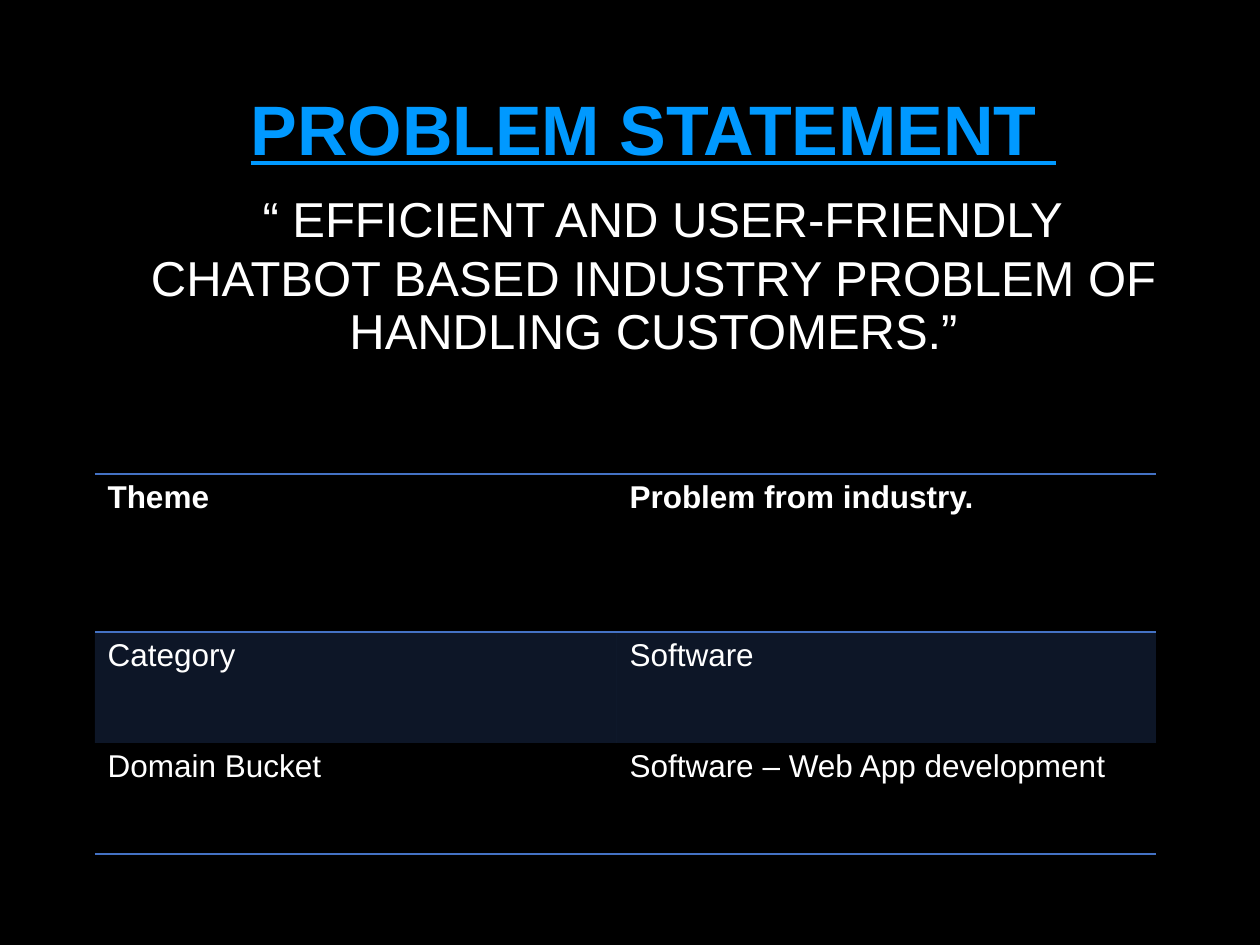
from dataclasses import dataclass

from lxml.etree import SubElement
from pptx import Presentation
from pptx.dml.color import RGBColor
from pptx.enum.text import MSO_ANCHOR, PP_ALIGN
from pptx.oxml.ns import qn
from pptx.util import Pt

PX = 914400 // 126  # EMU per pixel
NO_STYLE = "{2D5ABB26-0587-4C30-8999-92F81FD0307C}"


@dataclass(frozen=True)
class Theme:
    background: str = "000000"
    text: str = "FFFFFF"
    title: str = "0099FF"
    accent: str = "4472C4"
    font: str = "Arial"
    gap_font: str = "Calibri"
    title_size: int = 40
    gap_size: int = 44
    statement_size: int = 28
    table_size: int = 18
    band_opacity: int = 20
    rule_width: int = 1


THEME = Theme()

ROWS = [
    ("Theme", "Problem from industry."),
    ("Category", "Software"),
    ("Domain Bucket", "Software – Web App development"),
]


def px(n):
    return n * PX


def add_run(p, text, size, color=THEME.text, font=THEME.font, bold=False, underline=False):
    r = p.add_run()
    r.text = text
    r.font.name = font
    r.font.size = Pt(size)
    r.font.bold = bold
    r.font.underline = underline
    r.font.color.rgb = RGBColor.from_string(color)


def add_heading(slide, left, top, width, height):
    tf = slide.shapes.add_textbox(px(left), px(top), px(width), px(height)).text_frame
    tf.word_wrap = True
    tf.vertical_anchor = MSO_ANCHOR.MIDDLE
    p = tf.paragraphs[0]
    p.alignment = PP_ALIGN.CENTER
    p.line_spacing = 0.9
    pPr = p._p.get_or_add_pPr()
    pPr.set("marL", str(px(67)))
    pPr.set("indent", "0")
    add_run(p, "PROBLEM STATEMENT ", THEME.title_size, THEME.title, bold=True, underline=True)
    p.add_line_break()
    add_run(p, " ", THEME.gap_size, font=THEME.gap_font)
    add_run(p, "“ EFFICIENT AND USER-FRIENDLY CHATBOT BASED INDUSTRY PROBLEM OF "
               "HANDLING CUSTOMERS.”", THEME.statement_size)


def add_rule(cell, side):
    """Draw one cell border; side is lnT or lnB."""
    ln = SubElement(cell._tc.get_or_add_tcPr(), qn(f"a:{side}"), w=str(Pt(THEME.rule_width)))
    fill = SubElement(ln, qn("a:solidFill"))
    SubElement(fill, qn("a:srgbClr"), val=THEME.accent)


def fill_band(cell):
    cell.fill.solid()
    cell.fill.fore_color.rgb = RGBColor.from_string(THEME.accent)
    color = cell._tc.tcPr.find(qn("a:solidFill")).find(qn("a:srgbClr"))
    SubElement(color, qn("a:alpha"), val=str(THEME.band_opacity * 1000))


def add_details_table(slide, left, top, widths, heights):
    frame = slide.shapes.add_table(len(heights), len(widths), px(left), px(top),
                                   px(sum(widths)), px(sum(heights)))
    table = frame.table
    table._tbl.tblPr.find(qn("a:tableStyleId")).text = NO_STYLE
    for column, width in zip(table.columns, widths):
        column.width = px(width)
    for row, height in zip(table.rows, heights):
        row.height = px(height)

    last = len(ROWS) - 1
    for i, texts in enumerate(ROWS):
        for j, text in enumerate(texts):
            cell = table.cell(i, j)
            add_run(cell.text_frame.paragraphs[0], text, THEME.table_size, bold=i == 0)
            # Rules frame the header and close the table
            if i == 0:
                add_rule(cell, "lnT")
            if i in (0, last):
                add_rule(cell, "lnB")
            # Odd rows are banded
            if i % 2:
                fill_band(cell)
            else:
                cell.fill.background()


def main():
    prs = Presentation()
    prs.slide_width, prs.slide_height = px(1260), px(945)
    slide = prs.slides.add_slide(prs.slide_layouts[6])
    slide.background.fill.solid()
    slide.background.fill.fore_color.rgb = RGBColor.from_string(THEME.background)

    # Title and problem statement
    add_heading(slide, 53, 21, 1134, 413)
    # Project details
    add_details_table(slide, 95, 474, (522, 539), (158, 111, 111))

    prs.save("out.pptx")


if __name__ == "__main__":
    main()
